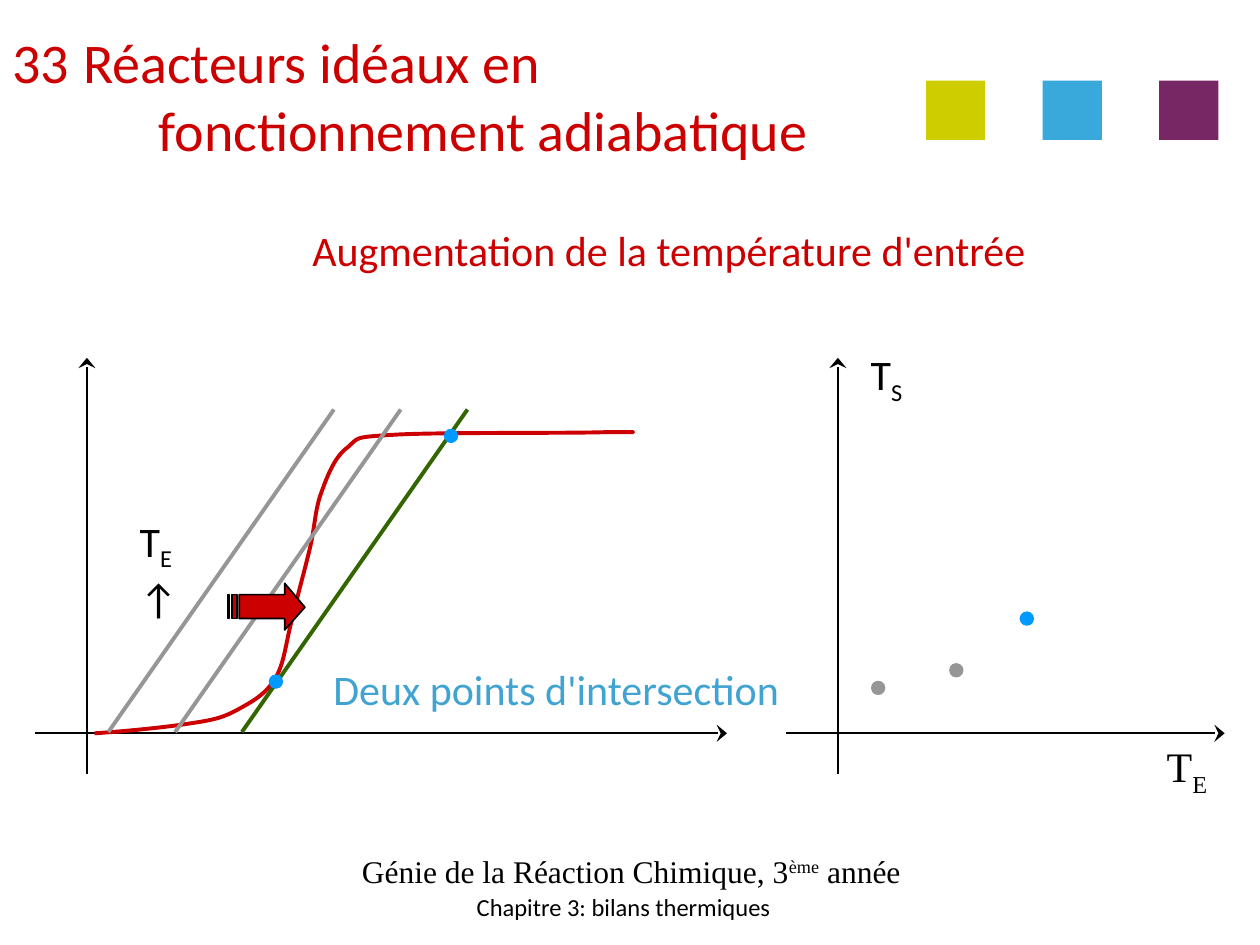
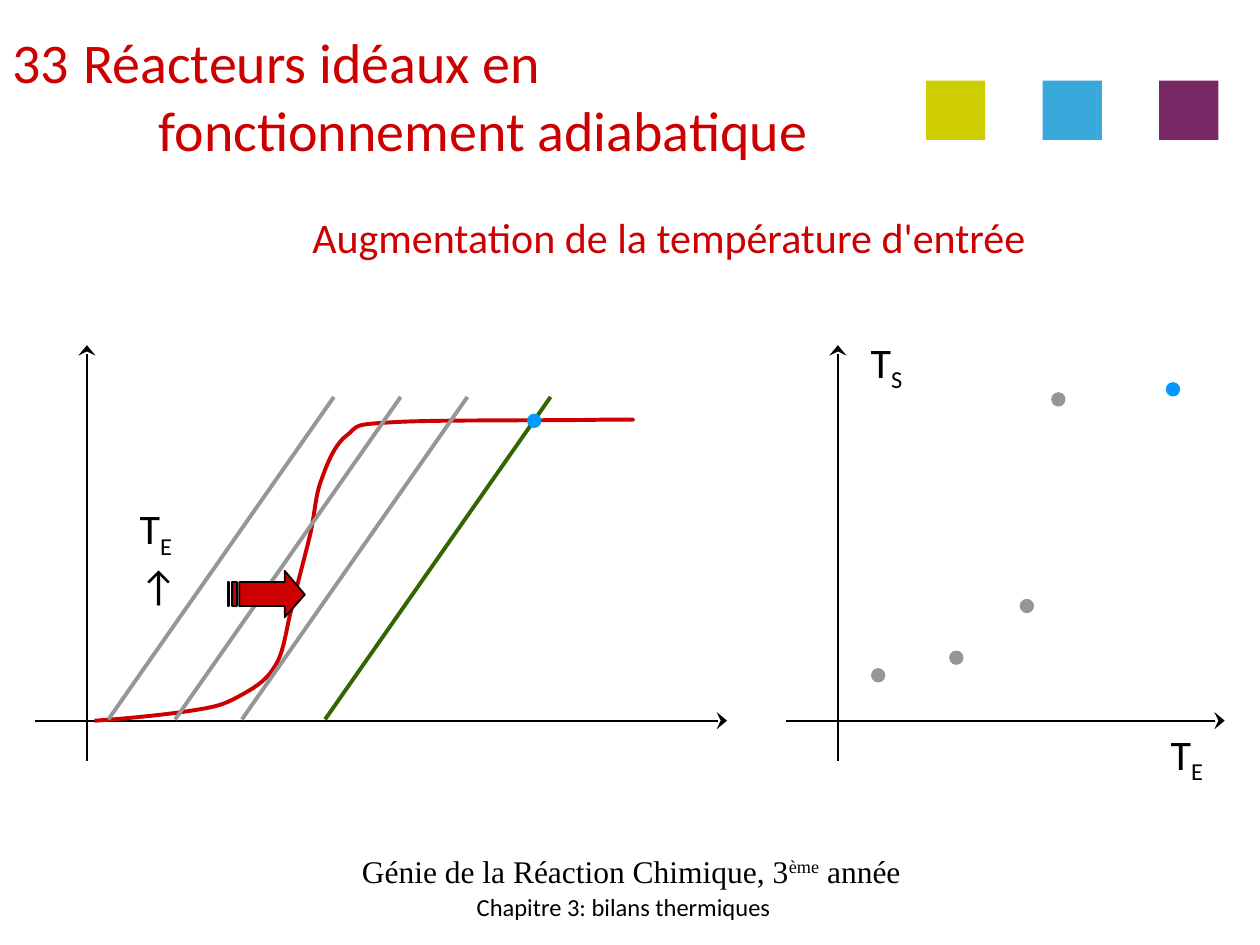
from dataclasses import dataclass

from lxml.etree import SubElement
from pptx import Presentation
from pptx.dml.color import RGBColor
from pptx.enum.shapes import MSO_CONNECTOR as Connector, MSO_SHAPE as Preset
from pptx.enum.text import MSO_ANCHOR as Anchor, MSO_AUTO_SIZE as AutoSize, PP_ALIGN as Align
from pptx.oxml.ns import qn
from pptx.util import Emu, Inches, Pt


@dataclass(frozen=True)
class Theme:
    """Colours, fonts and sizes shared by the slides."""
    red: str = "CC0000"
    grey: str = "969696"
    green: str = "336600"
    blue: str = "0099FF"
    sky: str = "40A3D1"
    black: str = "000000"
    squares: tuple = ("CDCD00", "39A9DC", "772763")
    sans: str = "Calibri"
    serif: str = "Times New Roman"
    title: int = 32
    label: int = 24
    course: int = 18
    chapter: int = 14
    thin: float = 1
    thick: float = 2.25


THEME = Theme()
WIDTH, HEIGHT = Inches(10), Inches(7.5)
COLUMNS, ROWS = 10, 7.5
LINE_RUN, LINE_RISE, LINE_FOOT = 1.79, 2.56, 0.01
DOT = 0.1
CURVE_START = (0.75, 0)
CURVE = [
    ((1.04, 0.02), (1.33, 0.05), (1.52, 0.08)),
    ((1.72, 0.11), (1.78, 0.13), (1.89, 0.19)),
    ((2, 0.25), (2.11, 0.31), (2.18, 0.43)),
    ((2.26, 0.55), (2.27, 0.74), (2.32, 0.91)),
    ((2.36, 1.09), (2.42, 1.3), (2.46, 1.47)),
    ((2.5, 1.64), (2.5, 1.78), (2.55, 1.91)),
    ((2.6, 2.05), (2.66, 2.2), (2.76, 2.27)),
    ((2.85, 2.35), (2.8, 2.35), (3.14, 2.37)),
    ((3.48, 2.39), (4.49, 2.38), (4.8, 2.39)),
    ((5.1, 2.39), (5.04, 2.39), (4.97, 2.39)),
]


def col(count):
    """Turn grid columns into a length."""
    return Emu(round(WIDTH * count / COLUMNS))


def row(count):
    """Turn grid rows into a length."""
    return Emu(round(HEIGHT * count / ROWS))


def rgb(colour):
    """Read a hexadecimal colour."""
    return RGBColor.from_string(colour)


def add_span(para, words, size, colour, font=THEME.sans, shift=0):
    """Add one formatted run, raised or lowered by a percentage."""
    span = para.add_run()
    span.text = words
    span.font.name = font
    span.font.size = Pt(size)
    span.font.color.rgb = rgb(colour)
    if shift:
        span.font._element.set("baseline", str(shift * 1000))


def add_label(slide, left, top, width, spans, size=THEME.label, colour=THEME.black,
              font=THEME.sans, align=Align.CENTER, anchor=Anchor.TOP):
    """Add a one-line text box made of (words, shift) spans."""
    box = slide.shapes.add_textbox(col(left), row(top), col(width), row(0.5))
    frame = box.text_frame
    frame.word_wrap = False
    frame.vertical_anchor = anchor
    para = frame.paragraphs[0]
    para.alignment = align
    for words, shift in spans:
        add_span(para, words, size, colour, font, shift)
    return para


def paint(shape, fill, line, weight=THEME.thin):
    """Set fill and outline, without shadow; None leaves a part empty."""
    shape.shadow.inherit = False
    for part, colour in ((shape.fill, fill), (shape.line.fill, line)):
        if colour:
            part.solid()
            part.fore_color.rgb = rgb(colour)
        else:
            part.background()
    if line:
        shape.line.width = Pt(weight)


def add_line(slide, start, end, colour, weight, arrow=False):
    """Draw a straight line, with an optional arrowhead at its start."""
    line = slide.shapes.add_connector(
        Connector.STRAIGHT, col(start[0]), row(start[1]), col(end[0]), row(end[1]))
    line.line.color.rgb = rgb(colour)
    line.line.width = Pt(weight)
    if arrow:
        SubElement(line.line._get_or_add_ln(), qn("a:headEnd"),
                   type="stealth", w="lg", len="med")
    SubElement(line._element.spPr, qn("a:effectLst"))


def add_outline(slide, contours, closed):
    """Build one freeform from lists of grid points."""
    paths = [[(col(x), row(y)) for x, y in contour] for contour in contours]
    builder = slide.shapes.build_freeform(*paths[0][0], scale=1.0)
    for index, points in enumerate(paths):
        if index:
            builder.move_to(*points[0])
        builder.add_line_segments(points[1:], close=closed)
    return builder.convert_to_shape()


def bend(shape):
    """Turn every three line segments of a freeform into one cubic curve."""
    segments = list(shape._element.iter(qn("a:lnTo")))
    for index in range(0, len(segments), 3):
        first, *others = segments[index:index + 3]
        first.tag = qn("a:cubicBezTo")
        for other in others:
            first.append(other[0])
            other.getparent().remove(other)


def add_heat_curve(slide, base):
    """Draw the S-shaped curve above the base row."""
    points = [CURVE_START] + [point for piece in CURVE for point in piece]
    curve = add_outline(slide, [[(x, base - y) for x, y in points]], closed=False)
    bend(curve)
    paint(curve, None, THEME.red, THEME.thick)


def add_axes(slide, base, axis, left, right):
    """Draw a vertical and a horizontal arrow that cross on the base row."""
    add_line(slide, (axis, base - 2.98), (axis, base + 0.32), THEME.black, THEME.thin, True)
    add_line(slide, (right, base), (left, base), THEME.black, THEME.thin, True)


def add_feed_line(slide, base, foot, colour):
    """Draw one slanted line that starts at the given column."""
    low = base - LINE_FOOT
    add_line(slide, (foot, low), (foot + LINE_RUN, low - LINE_RISE), colour, THEME.thick)


def add_dot(slide, base, x, height, colour):
    """Draw a point centred at a height above the base row."""
    dot = slide.shapes.add_shape(Preset.OVAL, col(x - DOT / 2), row(base - height - DOT / 2),
                                 col(DOT), row(DOT))
    paint(dot, colour, colour)


def add_shift_arrow(slide, base):
    """Draw the striped arrow and its label."""
    middle = base - 1.0
    top, bottom = middle - 0.1, middle + 0.09
    head = [(2.26, middle - 0.19), (2.26, top), (1.9, top), (1.9, bottom),
            (2.26, bottom), (2.26, middle + 0.18), (2.42, middle)]
    stripes = [[(left, top), (left, bottom), (right, bottom), (right, top)]
               for left, right in ((1.84, 1.88), (1.81, 1.82))]
    paint(add_outline(slide, [head] + stripes, closed=True), THEME.red, THEME.black)
    para = add_label(slide, 1.01, base - 1.78, 0.76, [("T", 0), ("E", -25)], align=Align.LEFT)
    para.add_line_break()
    add_span(para, "↑", THEME.label, THEME.black)


def add_title(slide):
    """Fill the title placeholder with its numbered heading."""
    title = slide.shapes.title
    title.left, title.top, title.width, title.height = col(0), row(0.13), col(8.53), row(1.25)
    frame = title.text_frame
    frame.auto_size = AutoSize.NONE
    frame.vertical_anchor = Anchor.MIDDLE
    for index, words in enumerate(("Réacteurs idéaux en", "\tfonctionnement adiabatique")):
        para = frame.add_paragraph() if index else frame.paragraphs[0]
        para.alignment = Align.LEFT
        props = para._p.get_or_add_pPr()
        if not index:
            props.set("marL", str(col(0.56)))
            props.set("indent", str(-col(0.56)))
            SubElement(props, qn("a:buFont"), typeface=THEME.sans)
            SubElement(props, qn("a:buAutoNum"), type="arabicPlain", startAt="33")
        tabs = SubElement(props, qn("a:tabLst"))
        SubElement(tabs, qn("a:tab"), pos=str(col(1.16)), algn="l")
        add_span(para, words, THEME.title, THEME.red)


def add_frame(slide):
    """Add the title, the coloured squares and the footer."""
    add_title(slide)
    for index, colour in enumerate(THEME.squares):
        square = slide.shapes.add_shape(Preset.RECTANGLE, col(7.35 + 0.925 * index), row(0.64),
                                        col(0.47), row(0.47))
        paint(square, colour, None)
    add_label(slide, 2.72, 6.66, 4.58,
              [("Génie de la Réaction Chimique, 3", 0), ("ème", 30), (" année", 0)],
              THEME.course, font=THEME.serif, anchor=Anchor.MIDDLE)
    add_label(slide, 3.65, 6.95, 2.6, [("Chapitre 3: bilans thermiques", 0)],
              THEME.chapter, anchor=Anchor.MIDDLE)


def add_reactor_slide(deck, base, feet, crossings, outlets, axis_font):
    """Add a slide whose last feed line and last outlet are the current ones."""
    slide = deck.slides.add_slide(deck.slide_layouts[5])
    add_frame(slide)
    add_label(slide, 2.38, base - 4.09, 5.92, [("Augmentation de la température d'entrée", 0)],
              colour=THEME.red, align=Align.LEFT)
    add_axes(slide, base, 0.69, 0.28, 5.77)
    add_axes(slide, base, 6.65, 6.24, 9.72)
    add_label(slide, 6.8, base - 3.1, 0.47, [("T", 0), ("S", -25)])
    add_label(slide, 9.15, base + 0.01, 0.54, [("T", 0), ("E", -25)], font=axis_font)
    add_heat_curve(slide, base)
    for foot in feet[:-1]:
        add_feed_line(slide, base, foot, THEME.grey)
    add_shift_arrow(slide, base)
    add_feed_line(slide, base, feet[-1], THEME.green)
    for x, height in outlets[:-1]:
        add_dot(slide, base, x, height, THEME.grey)
    for x, height in crossings + outlets[-1:]:
        add_dot(slide, base, x, height, THEME.blue)
    return slide


def main():
    """Build and save the deck."""
    deck = Presentation()
    deck.slide_width, deck.slide_height = WIDTH, HEIGHT
    feet = [0.86 + 0.53 * index for index in range(3)]
    outlets = [(6.97, 0.36), (7.59, 0.5), (8.15, 0.91)]
    two_points = add_reactor_slide(deck, 5.82, feet, [(2.19, 0.41), (3.58, 2.36)],
                                   outlets, THEME.serif)
    add_label(two_points, 2.49, 5.22, 3.85, [("Deux points d'intersection", 0)], colour=THEME.sky)
    add_reactor_slide(deck, 5.72, feet + [2.58], [(4.24, 2.38)],
                      outlets + [(8.4, 2.55), (9.31, 2.63)], THEME.sans)
    deck.save("out.pptx")


if __name__ == "__main__":
    main()
